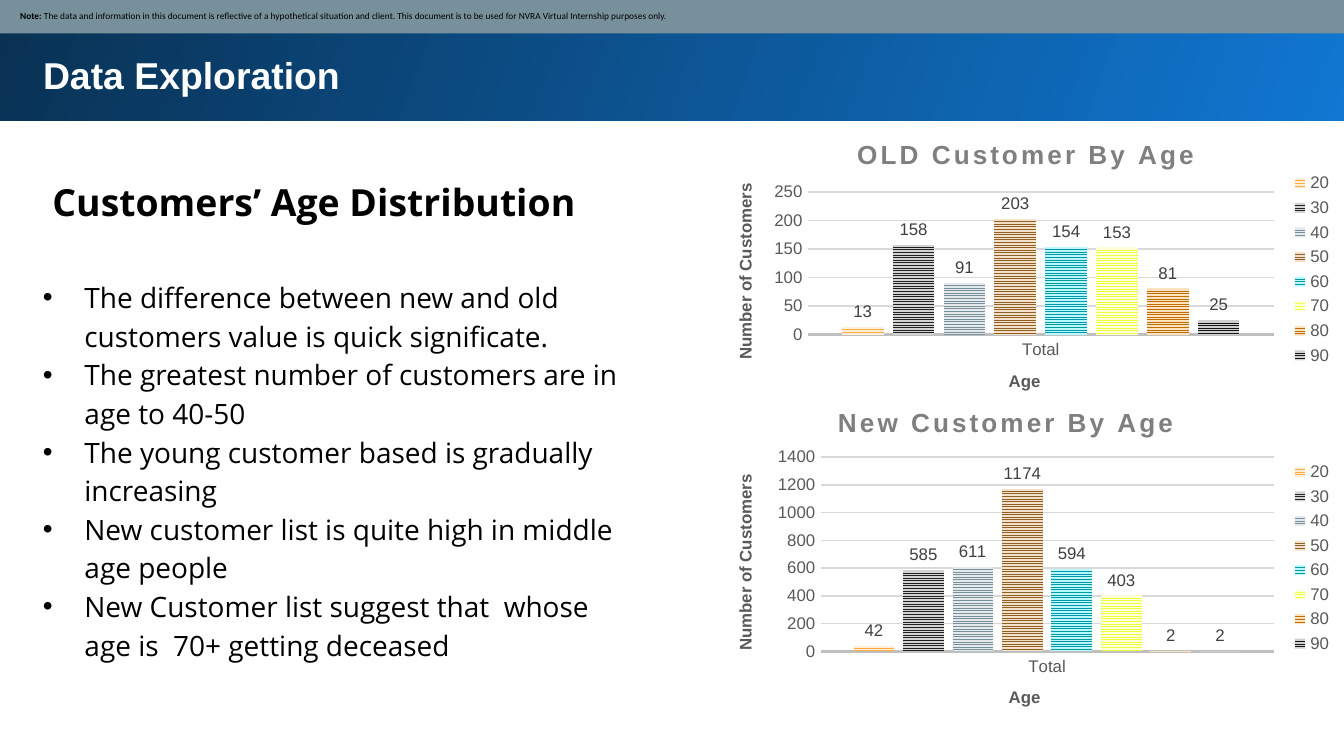
import pptx
import pptx.util
import pptx.chart.data
import pptx.dml.color
import pptx.enum.chart
import pptx.enum.dml
import pptx.enum.shapes
import pptx.enum.text
import pptx.oxml.ns

WIDTH = 10
HEIGHT = WIDTH * 9 / 16
LEFT, TEXT_WIDTH = 0.22, 9.37
CHART_LEFT, CHART_WIDTH = 5.25, 4.75

HEADING = "Data Exploration"
SUBHEADING = "Customers’ Age Distribution"
NOTE = [
    ("Note: ", True),
    ("The data and information in this document is reflective of a hypothetical "
     "situation and client. This document is to be used for NVRA Virtual "
     "Internship purposes only.", False),
]
FINDINGS = [
    "The difference between new and old customers value is quick significate.",
    "The greatest number of customers are in age to 40-50",
    "The young customer based is gradually increasing",
    "New customer list is quite high in middle age people",
    "New Customer list suggest that  whose age is  70+ getting deceased",
]
AGES = [
    ("20", "FFAB40", "FFEED9"),
    ("30", "212121", "D3D3D3"),
    ("40", "78909C", "E4E9EB"),
    ("50", "8F6024", "F2E0CA"),
    ("60", "0097A7", "BAF8FF"),
    ("70", "EEFF41", "FCFFD9"),
    ("80", "BF6B00", "FFE3BF"),
    ("90", "141414", "D0D0D0"),
]
CHARTS = [
    {"title": "OLD Customer By Age", "top": 0.9, "height": 2.21,
     "counts": [13, 158, 91, 203, 154, 153, 81, 25], "max": 250, "step": 50,
     "plot": (0.16, 0.24, 0.73, 0.48), "title_at": (0.23, 0.04),
     "legend": (0.91, 0.16, 0.08, 0.68), "age_at": (0.47, 0.83),
     "number_at": (0.04, 0.2)},
    {"title": "New Customer By Age", "top": 2.85, "height": 2.63,
     "counts": [42, 585, 611, 1174, 594, 403, 2, 2], "max": 1400, "step": 200,
     "plot": (0.18, 0.21, 0.71, 0.55), "title_at": (0.2, 0.05),
     "legend": (0.91, 0.21, 0.08, 0.57), "age_at": (0.47, 0.85),
     "number_at": (0.04, 0.25)},
]

inch = pptx.util.Inches
qn = pptx.oxml.ns.qn
NONE = pptx.enum.chart.XL_TICK_MARK.NONE


def rgb(code):
    return pptx.dml.color.RGBColor.from_string(code)


def assign(target, values):
    for key, value in values.items():
        setattr(target, key, value)


def style(font, size, color, name="Arial", bold=False):
    assign(font, {"size": pptx.util.Pt(size), "name": name, "bold": bold})
    font.color.rgb = rgb(color)


def place(shape, left, top, width, height):
    assign(shape, {"left": inch(left), "top": inch(top),
                   "width": inch(width), "height": inch(height)})


def set_frame(frame, left=0.1, inset=0.1, anchor="TOP"):
    assign(frame, {
        "word_wrap": True,
        "auto_size": pptx.enum.text.MSO_AUTO_SIZE.NONE,
        "vertical_anchor": getattr(pptx.enum.text.MSO_ANCHOR, anchor),
        "margin_left": inch(left), "margin_right": inch(inset),
        "margin_top": inch(inset), "margin_bottom": inch(inset)})


def add_band(slide, left, top, width, height):
    band = slide.shapes.add_shape(
        pptx.enum.shapes.MSO_SHAPE.RECTANGLE,
        inch(left), inch(top), inch(width), inch(height))
    band.shadow.inherit = False
    band.line.fill.background()
    return band


def add_text(slide, box, lines, size, left=0.1, bold=False, bullet=False):
    frame = slide.shapes.add_textbox(*map(inch, box)).text_frame
    set_frame(frame, left)
    for index, line in enumerate(lines):
        paragraph = frame.paragraphs[0] if index == 0 else frame.add_paragraph()
        paragraph.line_spacing = 1.15
        if bullet:
            props = paragraph._p.get_or_add_pPr()
            props.set("marL", str(inch(0.31)))
            props.set("indent", str(inch(-0.31)))
            for tag, key, value in (("a:buFont", "typeface", "Arial"),
                                    ("a:buChar", "char", "•")):
                props.append(props.makeelement(qn(tag), {key: value}))
        run = paragraph.add_run()
        run.text = line
        style(run.font, size, "000000", "Open Sans", bold)


def set_layout(element, shares, after=None, inner=False):
    for old in element.findall(qn("c:layout")):
        element.remove(old)
    layout = element.makeelement(qn("c:layout"), {})
    manual = layout.makeelement(qn("c:manualLayout"), {})
    layout.append(manual)
    entries = [("layoutTarget", "inner")] if inner else []
    entries += [("xMode", "edge"), ("yMode", "edge")]
    entries += list(zip("xywh", map(str, shares)))
    for tag, value in entries:
        manual.append(manual.makeelement(qn("c:" + tag), {"val": value}))
    position = element.index(element.find(qn(after))) + 1 if after else 0
    element.insert(position, layout)


def set_title(title, text, size, color, at):
    run = title.text_frame.paragraphs[0].add_run()
    run.text = text
    style(run.font, size, color, bold=True)
    set_layout(title._element, at, "c:tx")
    return run


def add_age_chart(slide, content):
    data = pptx.chart.data.CategoryChartData()
    data.categories = ["Total"]
    for (age, _, _), count in zip(AGES, content["counts"]):
        data.add_series(age, [count])
    chart = slide.shapes.add_chart(
        pptx.enum.chart.XL_CHART_TYPE.COLUMN_CLUSTERED,
        inch(CHART_LEFT), inch(content["top"]),
        inch(CHART_WIDTH), inch(content["height"]), data).chart
    style(chart.font, 10, "000000")
    heading = set_title(chart.chart_title, content["title"], 14, "7F7F7F",
                        content["title_at"])
    heading.font._element.set("spc", "150")

    ages, numbers = chart.category_axis, chart.value_axis
    for axis, text, at in ((ages, "Age", content["age_at"]),
                           (numbers, "Number of Customers", content["number_at"])):
        set_title(axis.axis_title, text, 9, "595959", at)
        style(axis.tick_labels.font, 9, "595959")
        assign(axis, {"major_tick_mark": NONE, "minor_tick_mark": NONE})
    assign(numbers, {"minimum_scale": 0, "maximum_scale": content["max"],
                     "major_unit": content["step"], "has_major_gridlines": True})
    numbers.format.line.fill.background()
    for line, color, weight in ((ages.format.line, "BFBFBF", 1.5),
                                (numbers.major_gridlines.format.line, "D9D9D9", 0.75)):
        line.color.rgb = rgb(color)
        line.width = pptx.util.Pt(weight)

    chart.has_legend = True
    assign(chart.legend, {"position": pptx.enum.chart.XL_LEGEND_POSITION.RIGHT,
                          "include_in_layout": False})
    style(chart.legend.font, 9, "595959")
    set_layout(chart.legend._element, content["legend"], "c:legendPos")

    plot = chart.plots[0]
    assign(plot, {"gap_width": 164, "overlap": -22, "vary_by_categories": False})
    set_layout(plot._element.getparent(), content["plot"], inner=True)
    for series, (_, front, back) in zip(plot.series, AGES):
        fill = series.format.fill
        fill.patterned()
        fill.pattern = pptx.enum.dml.MSO_PATTERN.NARROW_HORIZONTAL
        fill.fore_color.rgb, fill.back_color.rgb = rgb(front), rgb(back)
        series.format.line.fill.background()
        labels = series.data_labels
        assign(labels, {"show_value": True,
                        "position": pptx.enum.chart.XL_LABEL_POSITION.OUTSIDE_END})
        style(labels.font, 9, "404040")


def main():
    deck = pptx.Presentation()
    assign(deck, {"slide_width": inch(WIDTH), "slide_height": inch(HEIGHT)})
    slide = deck.slides.add_slide(deck.slide_layouts[5])

    banner = add_band(slide, 0, -0.02, 10.05, 0.92)
    banner.fill.gradient()
    banner.fill.gradient_angle = 160
    for stop, color in zip(banner.fill.gradient_stops, ("1077D2", "093153")):
        stop.color.rgb = rgb(color)

    heading = slide.shapes.title
    banner._element.addnext(heading._element)
    place(heading, LEFT, 0.29, TEXT_WIDTH, 0.54)
    heading.text_frame.text = HEADING
    set_frame(heading.text_frame)
    paragraph = heading.text_frame.paragraphs[0]
    paragraph.alignment = pptx.enum.text.PP_ALIGN.LEFT
    style(paragraph.runs[0].font, 20, "FFFFFF", bold=True)

    add_text(slide, (LEFT, 1.18, TEXT_WIDTH, 0.56), [SUBHEADING], 20, 0.17, bold=True)
    add_text(slide, (LEFT, 1.95, 4.52, 3.08), FINDINGS, 15, bullet=True)

    note = add_band(slide, -0.01, -0.01, 10.03, 0.26)
    note.fill.solid()
    note.fill.fore_color.rgb = rgb("78909C")
    set_frame(note.text_frame, 0.16, 0.05, "MIDDLE")
    paragraph = note.text_frame.paragraphs[0]
    paragraph.alignment = pptx.enum.text.PP_ALIGN.LEFT
    for text, bold in NOTE:
        run = paragraph.add_run()
        run.text = text
        style(run.font, 5, "000000", "Calibri", bold)

    for content in CHARTS:
        add_age_chart(slide, content)
    deck.save("out.pptx")


if __name__ == "__main__":
    main()
